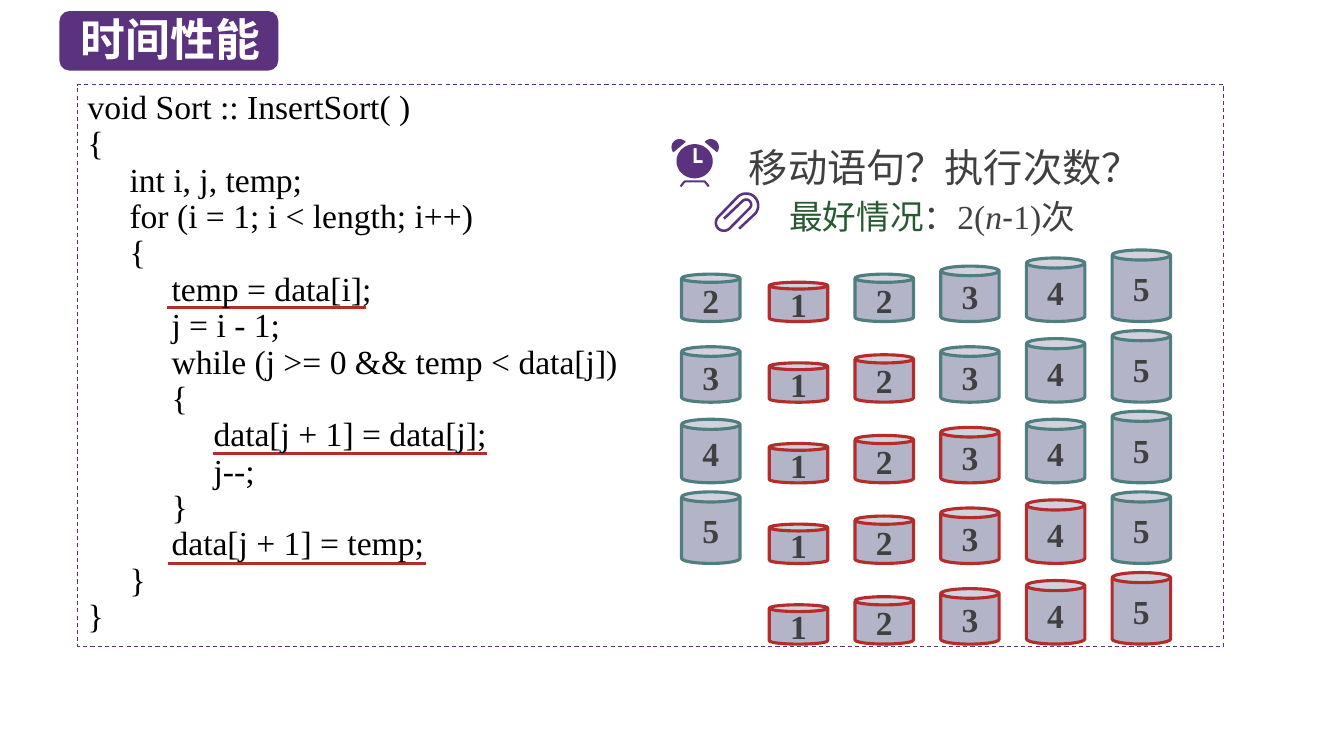
import math
from dataclasses import dataclass, field

from lxml import etree
from pptx import Presentation
from pptx.dml.color import RGBColor
from pptx.enum.dml import MSO_LINE
from pptx.enum.shapes import MSO_CONNECTOR, MSO_SHAPE
from pptx.enum.text import MSO_ANCHOR, MSO_AUTO_SIZE, PP_ALIGN
from pptx.oxml.ns import qn
from pptx.util import Inches, Pt

COLORS = {
    "purple": "5A327D", "frame": "5C307D", "red": "B42D2D", "teal": "507D7D",
    "can": "B4B4C8", "gray": "404040", "green": "285A32", "white": "FFFFFF", "black": "000000",
}
SANS, SERIF = "Noto Sans CJK SC", "Times New Roman"
CAN, ROUNDED, RECTANGLE = MSO_SHAPE.CAN, MSO_SHAPE.ROUNDED_RECTANGLE, MSO_SHAPE.RECTANGLE
STRAIGHT, DASH = MSO_CONNECTOR.STRAIGHT, MSO_LINE.DASH
TOP, MIDDLE = MSO_ANCHOR.TOP, MSO_ANCHOR.MIDDLE
LEFT, CENTER = PP_ALIGN.LEFT, PP_ALIGN.CENTER
NO_FIT = MSO_AUTO_SIZE.NONE

Point = tuple[float, float]


@dataclass
class Span:
    text: str
    color: str = "gray"
    font: dict = field(default_factory=dict)


@dataclass
class Underline:
    left: float
    right: float
    top: float


@dataclass
class CodeLine:
    level: int
    text: str


CODE = [
    CodeLine(0, "void Sort :: InsertSort( )"),
    CodeLine(0, "{"),
    CodeLine(1, "int i, j, temp;"),
    CodeLine(1, "for (i = 1; i < length; i++)"),
    CodeLine(1, "{"),
    CodeLine(2, "temp = data[i];"),
    CodeLine(2, "j = i - 1;"),
    CodeLine(2, "while (j >= 0 && temp < data[j])"),
    CodeLine(2, "{"),
    CodeLine(3, "data[j + 1] = data[j];"),
    CodeLine(3, "j--;"),
    CodeLine(2, "}"),
    CodeLine(2, "data[j + 1] = temp;"),
    CodeLine(1, "}"),
    CodeLine(0, "}"),
]
UNDERLINES = [Underline(1.66, 3.63, 3.05), Underline(1.67, 4.23, 5.59), Underline(2.11, 4.83, 4.5)]
BEST_CASE = [
    Span("最好情况", "green"), Span("：2("), Span("n", font={"italic": True}),
    Span("-", font={"name": "Arial"}), Span("1)次"),
]


def rgb(name: str) -> RGBColor:
    return RGBColor.from_string(COLORS[name])


def set_values(target, values: dict) -> None:
    for name, value in values.items():
        setattr(target, name, value)


def add_span(para, span: Span, **font) -> None:
    run = para.add_run()
    run.text = span.text
    set_values(run.font, font | span.font)
    run.font.color.rgb = rgb(span.color)
    etree.SubElement(run.font._element, qn("a:ea"), typeface=SANS)


def paint(shape, fill: str | None, line: str | None = None, width: float = 0.75) -> None:
    shape.shadow.inherit = False
    if fill:
        shape.fill.solid()
        shape.fill.fore_color.rgb = rgb(fill)
    else:
        shape.fill.background()
    if line:
        shape.line.color.rgb = rgb(line)
        shape.line.width = Pt(width)
    else:
        shape.line.fill.background()


def add_box(page, kind, left: float, top: float, width: float, height: float):
    return page.shapes.add_shape(kind, Inches(left), Inches(top), Inches(width), Inches(height))


def add_label(page, left: float, top: float, width: float, height: float,
              spans: list[Span], para_format: dict, **font) -> None:
    box = page.shapes.add_textbox(Inches(left), Inches(top), Inches(width), Inches(height))
    box.text_frame.word_wrap = True
    para = box.text_frame.paragraphs[0]
    set_values(para, para_format)
    for span in spans:
        add_span(para, span, **font)


def arc(x: float, y: float, rx: float, ry: float, start: int, end: int) -> list[Point]:
    """Points along an ellipse, clockwise, with angles in degrees."""
    angles = [math.radians(angle) for angle in range(start, end + 1, 10)]
    return [(x + rx * math.cos(a), y + ry * math.sin(a)) for a in angles]


def add_outline(page, contours: list[list[Point]], closed: bool = True):
    scaled = [[(Inches(x), Inches(y)) for x, y in points] for points in contours]
    builder = page.shapes.build_freeform(*scaled[0][0])
    for index, points in enumerate(scaled):
        if index:
            builder.move_to(*points[0])
        builder.add_line_segments(points[1:], close=closed)
    return builder.convert_to_shape()


def add_clock(page) -> None:
    hands = [(6.88, 1.47), (6.91, 1.47), (6.91, 1.59), (6.97, 1.59), (6.97, 1.62), (6.88, 1.62)]
    face = arc(6.89, 1.6, 0.18, 0.17, 0, 350)
    left_bell = arc(6.74, 1.46, 0.08, 0.08, 140, 320)
    right_bell = arc(7.05, 1.46, 0.08, 0.08, 220, 400)
    for contours in ([face, hands], [left_bell], [right_bell]):
        paint(add_outline(page, contours), "purple")
    feet = [(6.75, 1.85), (6.79, 1.8), (6.99, 1.8), (7.03, 1.85)]
    paint(add_outline(page, [feet], closed=False), None, "purple", 1.5)


def add_paperclip(page) -> None:
    wire = [(7.18, 2.17), *arc(7.4, 2.03, 0.05, 0.05, 225, 405),
            *arc(7.18, 2.21, 0.08, 0.08, 45, 225),
            *arc(7.4, 2.04, 0.12, 0.12, 225, 405), (7.33, 2.27)]
    paint(add_outline(page, [wire], closed=False), None, "purple", 1.8)


def add_can(page, value: int, left: float, bottom: float, line: str) -> None:
    height = 0.31 + 0.08 * value
    can = add_box(page, CAN, left, bottom - height, 0.58, height)
    can.adjustments[0] = 0.173
    paint(can, "can", line, 2.25)
    set_values(can.text_frame, {"word_wrap": False, "vertical_anchor": MIDDLE})
    para = can.text_frame.paragraphs[0]
    para.alignment = CENTER
    add_span(para, Span(str(value)), name=SERIF, size=Pt(24), bold=True)


def add_sorting_steps(page) -> None:
    """One row per state: the sorted part is red, the next key stands at the left."""
    for row in range(5):
        bottom = 3.19 + 0.8 * row
        for value in range(1, 6):
            line = "red" if value <= row + 1 else "teal"
            add_can(page, value, 7.63 + 0.85 * (value - 1), bottom, line)
        if row < 4:
            add_can(page, row + 2, 6.76, bottom, "teal")


def add_underline(page, mark: Underline) -> None:
    line = page.shapes.add_connector(STRAIGHT, Inches(mark.left), Inches(mark.top),
                                     Inches(mark.right), Inches(mark.top))
    line.line.color.rgb = rgb("red")
    line.line.width = Pt(2.25)
    etree.SubElement(line._element.spPr, qn("a:effectLst"))


def add_code(page) -> None:
    frame = add_box(page, RECTANGLE, 0.77, 0.84, 11.37, 5.57)
    paint(frame, None, "frame")
    frame.line.dash_style = DASH
    text = frame.text_frame
    set_values(text, {"word_wrap": True, "vertical_anchor": TOP})
    for index, line in enumerate(CODE):
        para = text.add_paragraph() if index else text.paragraphs[0]
        set_values(para, {"alignment": LEFT, "line_spacing": Pt(26)})
        para._p.get_or_add_pPr().set("marL", str(Pt(30 * line.level)))
        add_span(para, Span(line.text, "black"), name=SERIF, size=Pt(24))


def add_title(page) -> None:
    title = page.shapes.title
    set_values(title, {"left": Inches(0.7), "top": Inches(0.07),
                       "width": Inches(2.1), "height": Inches(0.64)})
    set_values(title.text_frame, {"word_wrap": True, "vertical_anchor": TOP, "auto_size": NO_FIT})
    para = title.text_frame.paragraphs[0]
    para.alignment = LEFT
    add_span(para, Span("时间性能", "white"), name=SANS, size=Pt(32), bold=True)
    tab = add_box(page, ROUNDED, 0.59, 0.11, 2.17, 0.59)
    paint(tab, "purple")
    title._element.addprevious(tab._element)


def main() -> None:
    deck = Presentation()
    set_values(deck, {"slide_width": Inches(13.33), "slide_height": Inches(7.5)})
    page = deck.slides.add_slide(deck.slide_layouts[5])
    add_title(page)
    add_label(page, 7.33, 1.23, 4.25, 0.71, [Span("移动语句？执行次数？")],
              {"line_spacing": 1.3}, name=SANS, size=Pt(28))
    add_clock(page)
    add_label(page, 7.73, 1.85, 3.85, 0.55, BEST_CASE,
              {"line_spacing": 1.1, "space_before": Pt(4.8)}, name=SERIF, size=Pt(24))
    add_paperclip(page)
    for mark in UNDERLINES:
        add_underline(page, mark)
    add_sorting_steps(page)
    add_code(page)
    deck.save("out.pptx")


if __name__ == "__main__":
    main()
